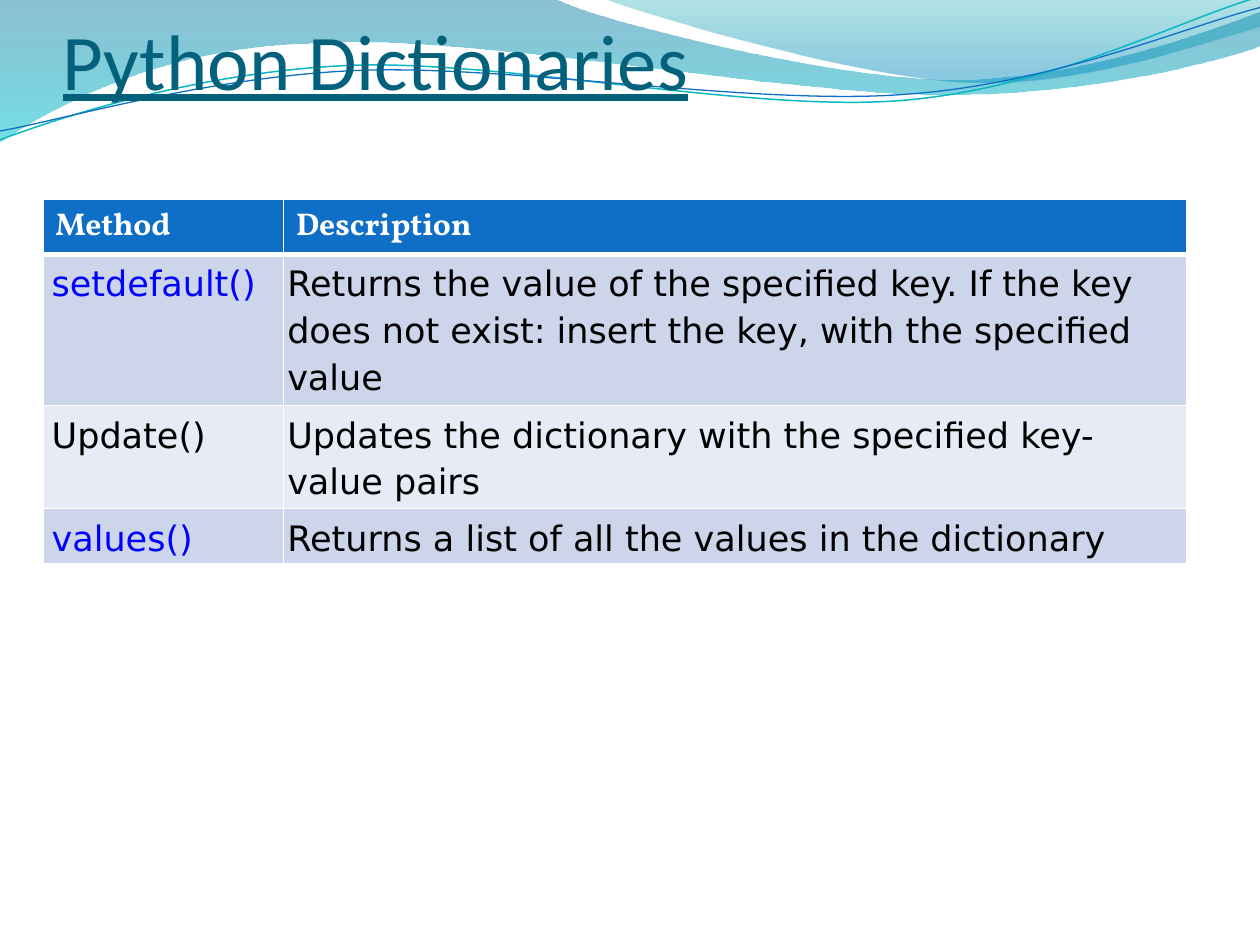
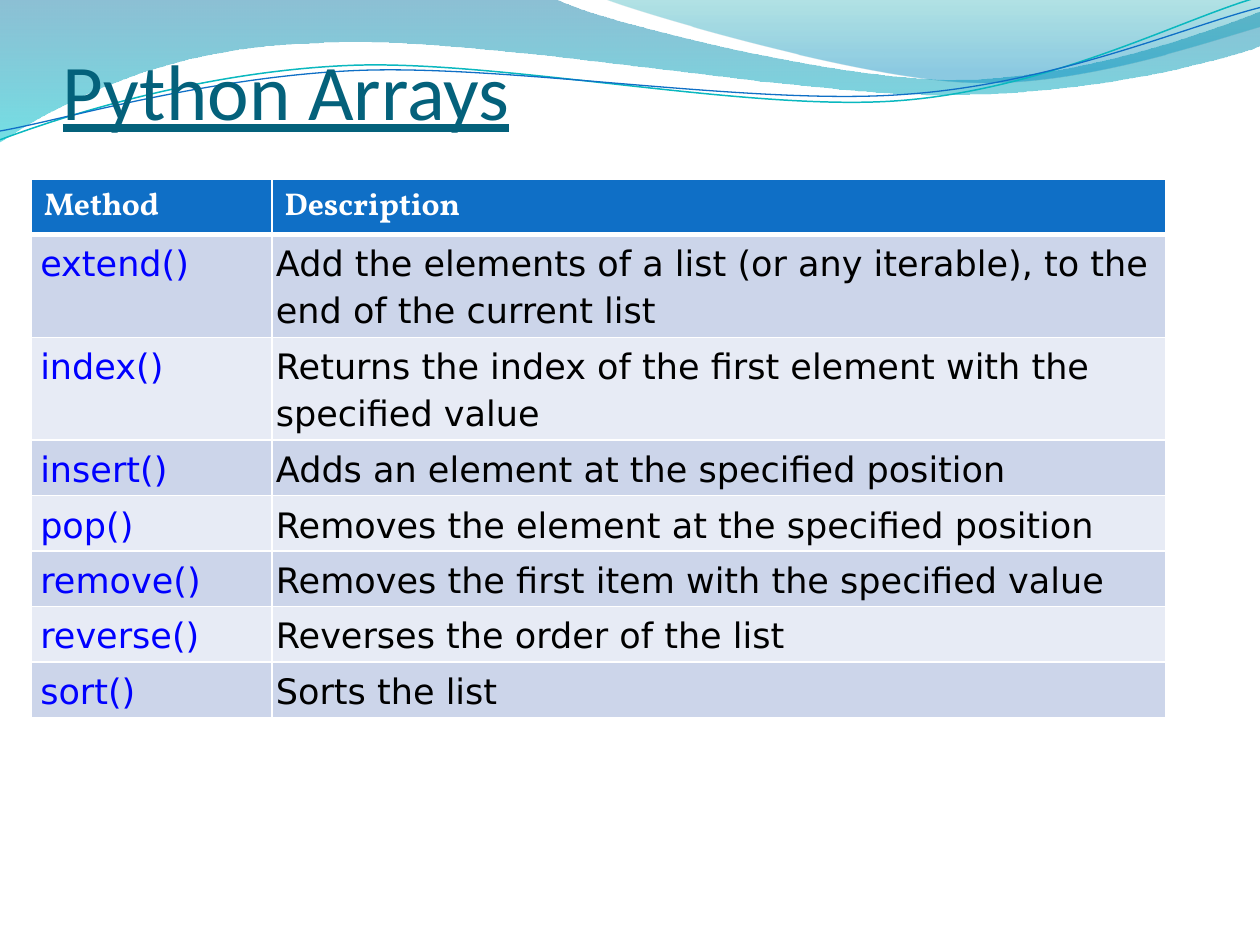
from lxml.etree import SubElement
from pptx import Presentation
from pptx.dml.color import RGBColor
from pptx.enum.text import MSO_ANCHOR as Anchor
from pptx.oxml.ns import qn
from pptx.util import Inches, Pt

# Grid: 10 columns by 7.5 rows, one inch each
COLS, ROWS = 10, 7.5
UNIT = Inches(1)

TITLE, HEADER, WHITE, BLACK, LINK = "04617B", "0F6FC6", "FFFFFF", "000000", "0000FF"
BANDS = ("CCD5EA", "E7EBF5")
TITLE_FONT, HEADER_FONT, BODY_FONT = "Calibri", "Vollkorn", "DejaVu Sans"

# Each wave is a list of points: 2 numbers make a line, 6 make a Bézier curve
WIDE_WAVE = [(0, 0), (4.4, -0.01), (4.76, 0.17, 6.64, 0.63, 7.58, 0.63),
             (8.53, 0.63, 9.58, 0.26, 10, 0.09), (10.01, 0.36),
             (9.83, 0.44, 8.7, 0.76, 7.46, 0.75), (6.22, 0.75, 3.82, 0.28, 2.57, 0.34),
             (1.29, 0.36, 0.46, 0.83, -0.01, 1.13)]
RIGHT_WAVE = [(4.79, -0.01), (5.09, 0.11, 6.82, 0.62, 7.69, 0.65),
              (8.56, 0.69, 9.61, 0.32, 10, 0.21), (10, 0)]
TEAL_LINE = [(0, 1.11), (0.48, 0.93, 1.58, 0.57, 2.77, 0.52),
             (3.95, 0.47, 5.93, 0.89, 7.13, 0.8), (8.33, 0.71, 9.38, 0.15, 9.98, -0.02)]
BLUE_LINE = [(0, 1.04), (0.47, 0.96, 1.64, 0.61, 2.83, 0.56),
             (4.03, 0.51, 5.97, 0.84, 7.17, 0.75), (8.36, 0.67, 9.41, 0.21, 10, 0.06)]

# Gradient stops: position, colour, opacity in percent
FILLED_WAVES = [(WIDE_WAVE, [(0, "0074A1", 45), (1, "00C6CF", 55)]),
                (RIGHT_WAVE, [(0, "00A1A9", 30), (0.8, "008BBF", 45)])]
LINE_WAVES = [(TEAL_LINE, "0AB8BF", 0.85), (BLUE_LINE, HEADER, 0.75)]

DICT_METHODS = [
    ("setdefault()", "Returns the value of the specified key. If the key does not exist: "
                     "insert the key, with the specified value"),
    ("Update()", "Updates the dictionary with the specified key-value pairs"),
    ("values()", "Returns a list of all the values in the dictionary"),
]
ARRAY_METHODS = [
    ("extend()", "Add the elements of a list (or any iterable), to the end of the current list"),
    ("index()", "Returns the index of the first element with the specified value"),
    ("insert()", "Adds an element at the specified position"),
    ("pop()", "Removes the element at the specified position"),
    ("remove()", "Removes the first item with the specified value"),
    ("reverse()", "Reverses the order of the list"),
    ("sort()", "Sorts the list"),
]
UNLINKED = {"Update()"}


def rgb(color):
    return RGBColor.from_string(color)


def grid(*lengths):
    return [int(n * UNIT) for n in lengths]


def set_margins(holder, *insets):
    (holder.margin_left, holder.margin_top,
     holder.margin_right, holder.margin_bottom) = grid(*insets)


def write(tf, text, *, font, size, color, bold=False, underline=None, spacing=None):
    p = tf.paragraphs[0]
    if spacing:
        p.line_spacing = spacing
    r = p.add_run()
    r.text = text
    f = r.font
    f.name, f.size, f.bold, f.underline = font, Pt(size), bold, underline
    f.color.rgb = rgb(color)


# Wave band
def add_wave(s, box, wave, close):
    left, top = box
    points = [((left + part[i]) * UNIT, (top + part[i + 1]) * UNIT)
              for part in wave for i in range(0, len(part), 2)]
    fb = s.shapes.build_freeform(*points[0], scale=1.0)
    fb.add_line_segments(points[1:], close=close)
    sp = fb.convert_to_shape()
    sp.shadow.inherit = False

    # Join the three points of each curve into one Bézier segment
    segments = iter(list(sp._element.iter(qn("a:lnTo"))))
    for part in wave[1:]:
        segment = next(segments)
        if len(part) == 6:
            segment.tag = qn("a:cubicBezTo")
            for _ in range(2):
                extra = next(segments)
                segment.append(extra[0])
                extra.getparent().remove(extra)
    return sp


def add_wave_band(s, box):
    for wave, stops in FILLED_WAVES:
        sp = add_wave(s, box, wave, True)
        sp.line.fill.background()
        sp.fill.gradient()
        sp.fill.gradient_angle = 270
        for stop, (position, color, _) in zip(sp.fill.gradient_stops, stops):
            stop.position = position
            stop.color.rgb = rgb(color)
        for clr, (_, _, opacity) in zip(sp._element.iter(qn("a:srgbClr")), stops):
            SubElement(clr, qn("a:alpha"), val=str(opacity * 1000))
    for wave, color, width in LINE_WAVES:
        sp = add_wave(s, box, wave, False)
        sp.fill.background()
        sp.line.color.rgb = rgb(color)
        sp.line.width = Pt(width)


# Title
def add_title(s, box, text):
    tf = s.shapes.add_textbox(*grid(*box)).text_frame
    tf.word_wrap = True
    tf.vertical_anchor = Anchor.BOTTOM
    set_margins(tf, 0, 0.05, 0, 0)
    write(tf, text, font=TITLE_FONT, size=45, color=TITLE, underline=True)


# Method table
def style_cell(cell, fill, top=1, bottom=1):
    tc_pr = cell._tc.get_or_add_tcPr()
    for side, width in (("L", 1), ("R", 1), ("T", top), ("B", bottom)):
        ln = SubElement(tc_pr, qn(f"a:ln{side}"), w=str(Pt(width)))
        SubElement(SubElement(ln, qn("a:solidFill")), qn("a:srgbClr"), val=WHITE)
    cell.fill.solid()
    cell.fill.fore_color.rgb = rgb(fill)


def add_method_table(s, box, methods):
    left, top, width = box
    name_width, row_height = 1.91, 0.44
    count = len(methods) + 1
    table = s.shapes.add_table(
        count, 2, *grid(left, top, width, count * row_height)).table
    table.horz_banding = False
    for column, w in zip(table.columns, grid(name_width, width - name_width)):
        column.width = w

    for col, text in enumerate(("Method", "Description")):
        cell = table.cell(0, col)
        style_cell(cell, HEADER, bottom=3)
        write(cell.text_frame, text, font=HEADER_FONT, size=18, color=WHITE, bold=True)

    for row, (method, description) in enumerate(methods, 1):
        name_color = BLACK if method in UNLINKED else LINK
        parts = ((method, name_color, 0.07), (description, BLACK, 0.03))
        for col, (text, color, inset) in enumerate(parts):
            cell = table.cell(row, col)
            style_cell(cell, BANDS[(row - 1) % 2], top=3 if row == 1 else 1)
            set_margins(cell, inset, 0.03, 0.03, 0.02)
            write(cell.text_frame, text, font=BODY_FONT, size=20, color=color,
                  spacing=1.15)


def add_method_slide(prs, title, title_box, methods, table_box):
    s = prs.slides.add_slide(prs.slide_layouts[6])
    add_wave_band(s, (0, 0))
    add_title(s, title_box, title)
    add_method_table(s, table_box, methods)


def main():
    prs = Presentation()
    prs.slide_width, prs.slide_height = grid(COLS, ROWS)
    add_method_slide(prs, "Python Dictionaries", (0.5, 0.17, 9, 0.67),
                     DICT_METHODS, (0.34, 1.58, 9.08))
    add_method_slide(prs, "Python Arrays", (0.5, 0.25, 9, 0.83),
                     ARRAY_METHODS, (0.25, 1.42, 9))
    prs.save("out.pptx")


if __name__ == "__main__":
    main()
